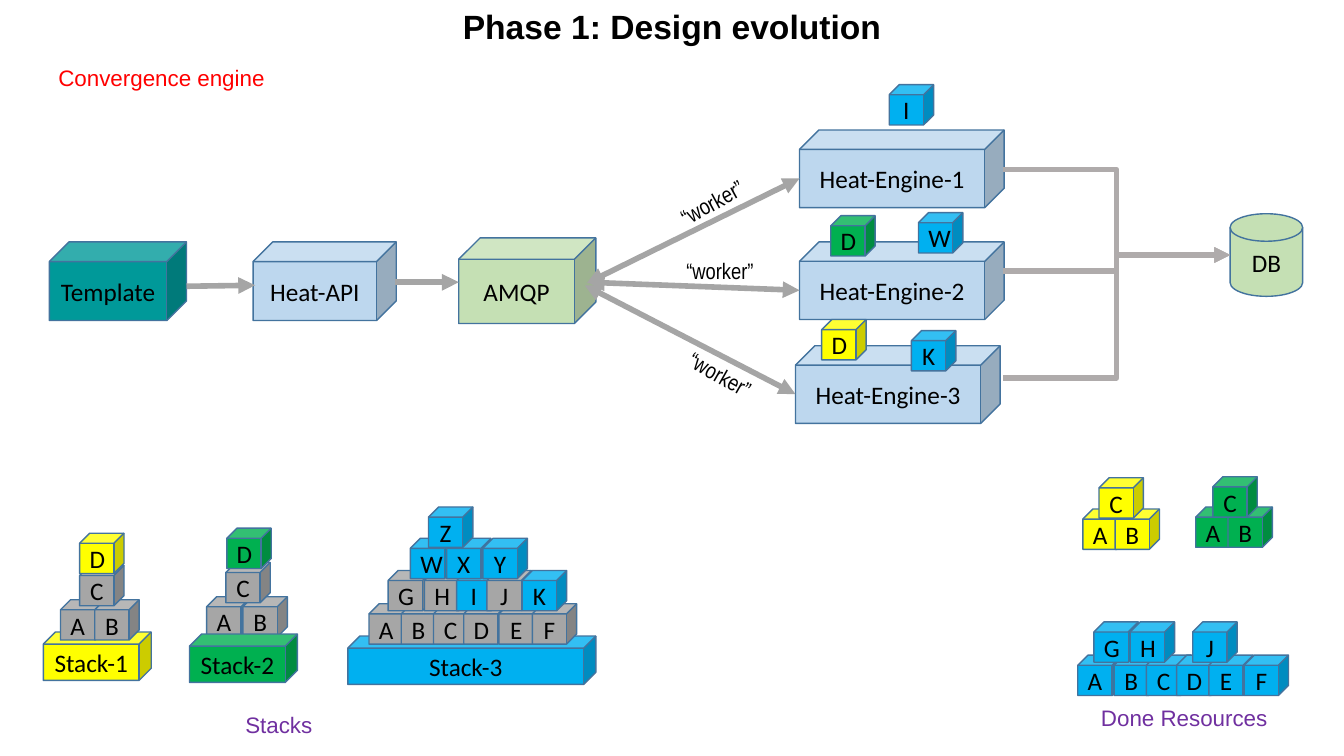
"""Builds the slide on the design evolution of the convergence engine."""
from lxml import etree
from pptx import Presentation
from pptx import util as u
from pptx.dml.color import RGBColor
from pptx.enum import shapes, text
from pptx.oxml.ns import qn

BLACK = RGBColor(0, 0, 0)
RED = RGBColor(0xFF, 0, 0)
PURPLE = RGBColor(0x70, 0x30, 0xA0)
TEAL = RGBColor(0, 0x99, 0x99)
PALE_BLUE = RGBColor(0xBD, 0xD7, 0xEE)
PALE_GREEN = RGBColor(0xC5, 0xE0, 0xB4)
YELLOW = RGBColor(0xFF, 0xFF, 0)
GREEN = RGBColor(0, 0xB0, 0x50)
BLUE = RGBColor(0, 0xB0, 0xF0)
GRAY = RGBColor(0xA6, 0xA6, 0xA6)
OUTLINE = RGBColor(0x43, 0x73, 0x9E)
ARROW = RGBColor(0xA5, 0xA5, 0xA5)
ELBOW = RGBColor(0xAF, 0xAB, 0xAB)

COL = ROW = u.Inches(1)
CUBE_W, CUBE_H = 0.44, 0.4
CUBE = shapes.MSO_SHAPE.CUBE
DISK = shapes.MSO_SHAPE.FLOWCHART_MAGNETIC_DISK

prs = Presentation()
prs.slide_width, prs.slide_height = u.Inches(13.33), u.Inches(7.5)
s = prs.slides.add_slide(prs.slide_layouts[5])


def block(x, y, w, h, words, fill, kind=CUBE):
    sp = s.shapes.add_shape(kind, int(x * COL), int(y * ROW), int(w * COL), int(h * ROW))
    sp.shadow.inherit = False
    sp.fill.solid()
    sp.fill.fore_color.rgb = fill
    sp.line.color.rgb = OUTLINE
    sp.line.width = u.Pt(1)
    tf = sp.text_frame
    tf.vertical_anchor = text.MSO_ANCHOR.MIDDLE
    p = tf.paragraphs[0]
    p.text = words
    p.alignment = text.PP_ALIGN.CENTER
    p.font.size, p.font.name, p.font.color.rgb = u.Pt(18), "Calibri", BLACK


def label(x, y, w, words, font, color, align=text.PP_ALIGN.LEFT, turn=0):
    sp = s.shapes.add_textbox(int(x * COL), int(y * ROW), int(w * COL), int(0.37 * ROW))
    sp.rotation = turn
    tf = sp.text_frame
    tf.word_wrap = True
    p = tf.paragraphs[0]
    p.text = words
    p.alignment = align
    p.font.size, p.font.name, p.font.color.rgb = u.Pt(16), font, color


title = s.shapes.title
title.left, title.top = 0, int(0.01 * ROW)
title.width, title.height = prs.slide_width, int(0.5 * ROW)
tf = title.text_frame
tf.auto_size = text.MSO_AUTO_SIZE.NONE
p = tf.paragraphs[0]
p.text = "Phase 1: Design evolution"
p.alignment = text.PP_ALIGN.CENTER
p.font.size, p.font.name, p.font.bold = u.Pt(24), "Arial", True
p.font.color.rgb = BLACK

label(0.48, 0.59, 2.65, "Convergence engine", "Arial", RED)

block(0.49, 2.4, 1.36, 0.78, "Template", TEAL)
block(2.51, 2.4, 1.42, 0.78, "Heat-API", PALE_BLUE)
block(4.55, 2.36, 1.36, 0.85, "AMQP", PALE_GREEN)
block(12.2, 2.12, 0.72, 0.82, "DB", PALE_GREEN, DISK)
for number, (x, y) in enumerate([(7.93, 1.29), (7.93, 2.4), (7.89, 3.43)], 1):
    block(x, y, 2.03, 0.77, f"Heat-Engine-{number}", PALE_BLUE)

STRAIGHT, BENT = shapes.MSO_CONNECTOR.STRAIGHT, shapes.MSO_CONNECTOR.ELBOW
ONE_WAY, BOTH_WAYS = ["tailEnd"], ["headEnd", "tailEnd"]
flows = [
    (STRAIGHT, 1.85, 2.84, 2.53, 2.83, ONE_WAY),
    (STRAIGHT, 3.92, 2.8, 4.55, 2.8, ONE_WAY),
    (BENT, 9.95, 1.68, 12.2, 2.53, ONE_WAY),
    (BENT, 9.95, 2.69, 12.2, 2.53, ONE_WAY),
    (BENT, 9.95, 3.75, 12.2, 2.53, ONE_WAY),
    (STRAIGHT, 5.82, 2.81, 7.93, 1.77, BOTH_WAYS),
    (STRAIGHT, 5.83, 2.8, 7.93, 2.88, BOTH_WAYS),
    (STRAIGHT, 5.8, 2.83, 7.89, 3.91, BOTH_WAYS),
]
for kind, x1, y1, x2, y2, ends in flows:
    flow = s.shapes.add_connector(kind, int(x1 * COL), int(y1 * ROW), int(x2 * COL), int(y2 * ROW))
    flow.line.color.rgb = ELBOW if kind == BENT else ARROW
    flow.line.width = u.Pt(3.75 if kind == BENT else 4)
    ln = flow.line._get_or_add_ln()
    for end in ends:
        etree.SubElement(ln, qn(f"a:{end}"), type="triangle")
    etree.SubElement(flow._element.spPr, qn("a:effectLst"))

for x, y, turn in [(6.6, 1.71, 331.4), (6.71, 2.5, 0), (6.68, 3.65, 29.6)]:
    label(x, y, 1.34, "“worker”", "Arial Narrow", BLACK, turn=turn)

in_progress = [
    (8.15, 3.17, "D", YELLOW),
    (8.24, 2.14, "D", GREEN),
    (8.82, 0.84, "I", BLUE),
    (9.04, 3.28, "K", BLUE),
    (9.11, 2.11, "W", BLUE),
]
for x, y, letter, fill in in_progress:
    block(x, y, CUBE_W, CUBE_H, letter, fill)

block(0.43, 6.27, 1.07, 0.48, "Stack-1", YELLOW)
block(3.45, 6.31, 2.46, 0.48, "Stack-3", BLUE)

cube_rows = [
    (5.95, "AB", [0.6, 0.94], [GRAY] * 2),
    (5.61, "C", [0.79], [GRAY]),
    (5.29, "D", [0.79], [YELLOW]),
    (5.92, "AB", [2.05, 2.41], [GRAY] * 2),
    (5.58, "C", [2.24], [GRAY]),
    (5.24, "D", [2.25], [GREEN]),
    (5.99, "ABCDEF", [3.66, 3.98, 4.3, 4.6, 4.95, 5.28], [GRAY] * 6),
    (5.66, "GHIJK", [3.85, 4.21, 4.53, 4.83, 5.18], [GRAY, GRAY, BLUE, GRAY, BLUE]),
    (5.34, "WXY", [4.07, 4.43, 4.79], [BLUE] * 3),
    (5.03, "Z", [4.25], [BLUE]),
    (5.05, "AB", [10.74, 11.06], [YELLOW] * 2),
    (4.74, "C", [10.9], [YELLOW]),
    (5.03, "AB", [11.86, 12.18], [GREEN] * 2),
    (4.73, "C", [12.03], [GREEN]),
    (6.5, "ABCDEF", [10.69, 11.05, 11.37, 11.67, 11.99, 12.34], [BLUE] * 6),
    (6.17, "GHJ", [10.85, 11.21, 11.83], [BLUE] * 3),
]
for y, letters, lefts, fills in cube_rows:
    for letter, x, fill in zip(letters, lefts, fills):
        block(x, y, CUBE_W, CUBE_H, letter, fill)

block(1.88, 6.29, 1.07, 0.48, "Stack-2", GREEN)

for x, y, words in [(1.44, 7.01, "Stacks"), (10.42, 6.94, "Done Resources")]:
    label(x, y, 2.65, words, "Arial", PURPLE, text.PP_ALIGN.CENTER)

prs.save("out.pptx")
